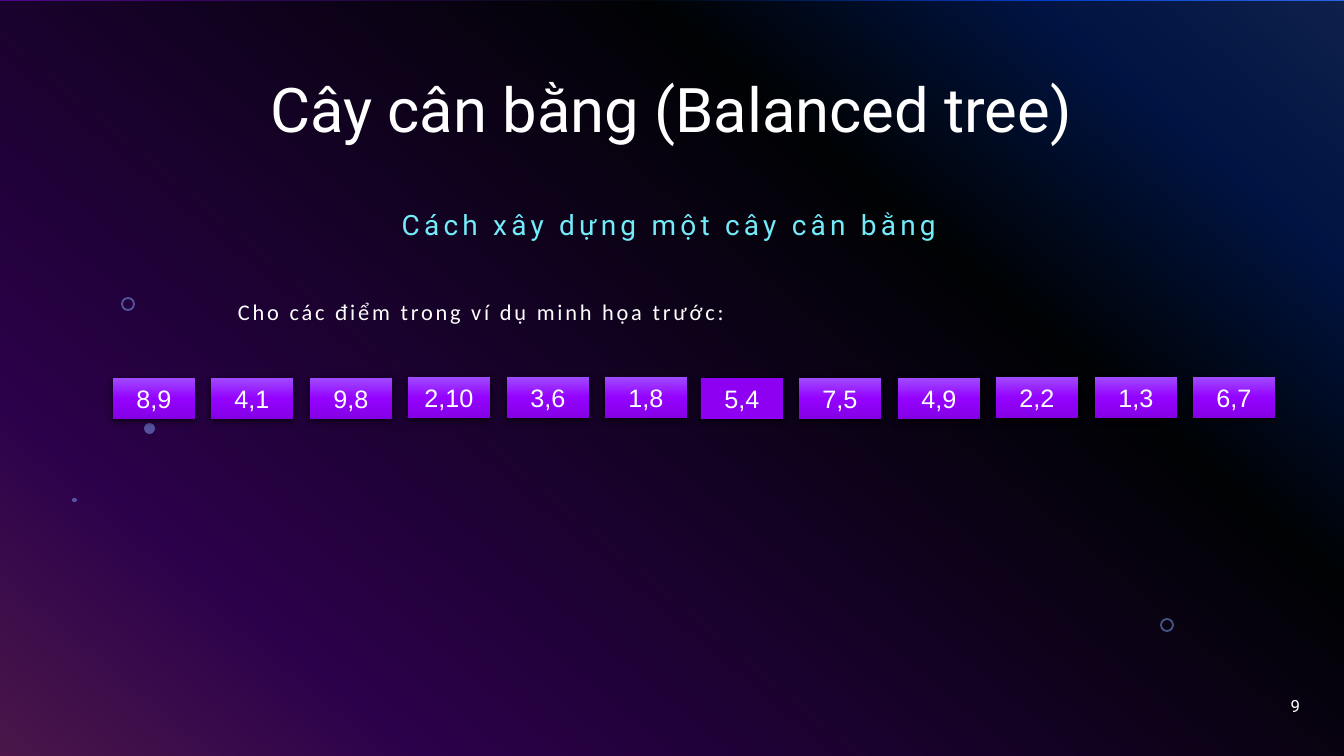
from dataclasses import dataclass

from lxml.etree import SubElement
from pptx import Presentation
from pptx.dml.color import RGBColor
from pptx.enum.shapes import MSO_SHAPE as Preset
from pptx.enum.text import MSO_ANCHOR as Anchor, MSO_AUTO_SIZE as AutoSize, PP_ALIGN as Align
from pptx.oxml.ns import qn
from pptx.util import Emu, Pt

EMU_PER_PX = 12192000 / 1344
PAGE_WIDTH, PAGE_HEIGHT = 1344, 756

BLACK = RGBColor(0x00, 0x00, 0x00)
WHITE = RGBColor(0xFF, 0xFF, 0xFF)
CYAN = RGBColor(0x73, 0xEB, 0xF9)
PALE_BLUE = RGBColor(0x83, 0xA7, 0xFD)
VIOLET = RGBColor(0x8E, 0x00, 0xF2)
PAGE_STOPS = [
    (0, RGBColor(0x31, 0x6C, 0xFC)),
    (14, RGBColor(0x03, 0x43, 0xDF)),
    (31, RGBColor(0x02, 0x09, 0x0E)),
    (81, RGBColor(0x94, 0x05, 0xFC)),
    (100, RGBColor(0xFC, 0x4E, 0xFB)),
]
POINT_STOPS = [
    (0, RGBColor(0xA0, 0x4B, 0xFF)),
    (50, RGBColor(0x94, 0x02, 0xFF)),
    (100, RGBColor(0x84, 0x00, 0xE4)),
]

POINT_HALVES = [
    (113, ["8,9", "4,1", "9,8", "2,10", "3,6", "1,8"]),
    (701, ["5,4", "7,5", "4,9", "2,2", "1,3", "6,7"]),
]
ROOT_POINT = "5,4"
HALF_SPAN = 492
POINT_TOP, POINT_WIDTH, POINT_HEIGHT = 378, 82, 41


@dataclass(frozen=True)
class Area:
    left: int
    top: int
    width: int
    height: int

    def emu(self) -> list[Emu]:
        return [px(n) for n in (self.left, self.top, self.width, self.height)]


@dataclass(frozen=True)
class Ornament:
    preset: Preset
    area: Area


ORNAMENTS = [
    Ornament(Preset.DONUT, Area(1160, 618, 14, 14)),
    Ornament(Preset.DONUT, Area(121, 297, 14, 14)),
    Ornament(Preset.OVAL, Area(144, 423, 11, 11)),
    Ornament(Preset.OVAL, Area(72, 498, 5, 4)),
]


def px(length: int) -> Emu:
    return Emu(round(length * EMU_PER_PX))


def set_gradient(fill, element, stops, angle: int) -> None:
    fill.gradient()
    fill.gradient_angle = 360 - angle
    stop_list = element.find(".//" + qn("a:gsLst"))
    for child in list(stop_list):
        stop_list.remove(child)
    for position, color in stops:
        stop = SubElement(stop_list, qn("a:gs"), pos=str(position * 1000))
        SubElement(stop, qn("a:srgbClr"), val=str(color))


def add_plain(page, preset: Preset, area: Area, color: RGBColor, opacity: int = 100):
    shape = page.shapes.add_shape(preset, *area.emu())
    shape.shadow.inherit = False
    shape.line.fill.background()
    shape.fill.solid()
    shape.fill.fore_color.rgb = color
    if opacity < 100:
        tint = shape._element.spPr.find(".//" + qn("a:srgbClr"))
        SubElement(tint, qn("a:alpha"), val=str(opacity * 1000))
    return shape


def add_shadow(shape) -> None:
    effects = shape._element.spPr.find(qn("a:effectLst"))
    shadow = SubElement(
        effects, qn("a:outerShdw"), blurRad=str(Pt(4.5)), dist=str(Pt(1.5)),
        dir="5400000", algn="ctr", rotWithShape="0",
    )
    tint = SubElement(shadow, qn("a:srgbClr"), val=str(BLACK))
    SubElement(tint, qn("a:alpha"), val="63000")


def write_text(shape, text: str, *, size: int, font: str = "Roboto",
               color: RGBColor = WHITE, align: Align = Align.CENTER,
               anchor: Anchor = Anchor.MIDDLE, line_spacing: float = 1.0,
               tracking: int = 0) -> None:
    frame = shape.text_frame
    frame.word_wrap = True
    frame.vertical_anchor = anchor
    para = frame.paragraphs[0]
    para.alignment = align
    para.line_spacing = line_spacing
    span = para.add_run()
    span.text = text
    span.font.name = font
    span.font.size = Pt(size)
    span.font.color.rgb = color
    if tracking:
        span.font._element.set("spc", str(tracking * 100))


def add_text(page, area: Area, text: str, **style) -> None:
    write_text(page.shapes.add_textbox(*area.emu()), text, **style)


def add_point(page, area: Area, label: str) -> None:
    box = add_plain(page, Preset.RECTANGLE, area, VIOLET)
    if label != ROOT_POINT:
        set_gradient(box.fill, box._element, POINT_STOPS, 90)
    add_shadow(box)
    write_text(box, label, size=18, font="Arial", anchor=Anchor.TOP)
    box.text_frame.auto_size = AutoSize.SHAPE_TO_FIT_TEXT


def draw_backdrop(page) -> None:
    set_gradient(page.background.fill, page._element, PAGE_STOPS, 130)
    veil = Area(0, 1, PAGE_WIDTH, PAGE_HEIGHT - 1)
    add_plain(page, Preset.RECTANGLE, veil, BLACK, 70)
    for ornament in ORNAMENTS:
        shape = add_plain(page, ornament.preset, ornament.area, PALE_BLUE, 49)
        if ornament.preset == Preset.DONUT:
            shape.adjustments[0] = 0.14


def draw_points(page) -> None:
    for left, labels in POINT_HALVES:
        for index, label in enumerate(labels):
            x = left + round(HALF_SPAN * index / (len(labels) - 1))
            y = POINT_TOP - index // 3
            add_point(page, Area(x, y, POINT_WIDTH, POINT_HEIGHT), label)


def main() -> None:
    deck = Presentation()
    deck.slide_width, deck.slide_height = px(PAGE_WIDTH), px(PAGE_HEIGHT)
    page = deck.slides.add_slide(deck.slide_layouts[6])
    draw_backdrop(page)
    add_text(page, Area(92, 40, 1159, 146), "Cây cân bằng (Balanced tree)",
             size=44, line_spacing=0.9)
    add_text(page, Area(173, 198, 992, 56), "Cách xây dựng một cây cân bằng",
             size=20, color=CYAN, line_spacing=0.9, tracking=3)
    add_text(page, Area(228, 296, 994, 40), "Cho các điểm trong ví dụ minh họa trước:",
             size=16, font="Calibri", align=Align.LEFT, anchor=Anchor.TOP,
             line_spacing=0.9, tracking=2)
    add_text(page, Area(1008, 686, 302, 40), "9", size=12, align=Align.RIGHT)
    draw_points(page)
    deck.save("out.pptx")


if __name__ == "__main__":
    main()
